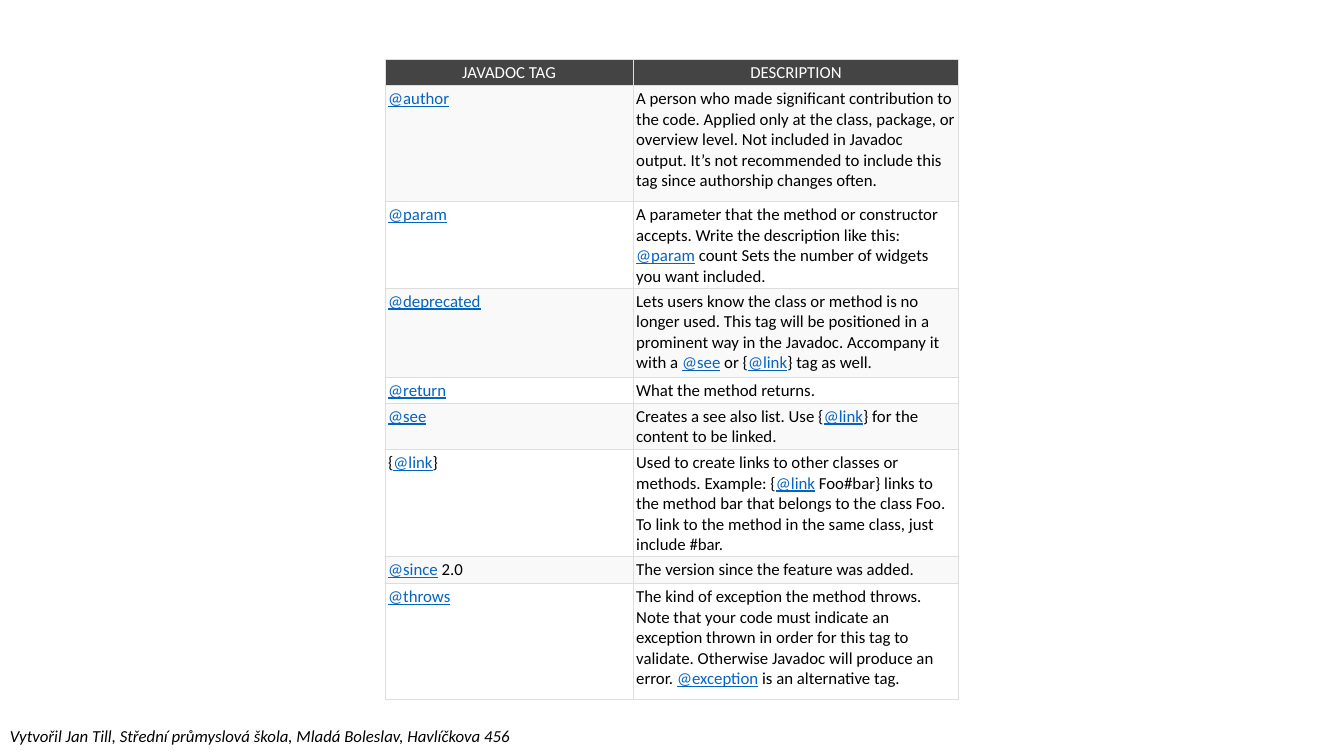
from lxml.etree import SubElement
from pptx import Presentation
from pptx.dml.color import RGBColor
from pptx.enum.text import MSO_ANCHOR as Anchor, PP_ALIGN as Align
from pptx.oxml.ns import qn
from pptx.util import Inches, Pt

FOOTER = "Vytvořil Jan Till, Střední průmyslová škola, Mladá Boleslav, Havlíčkova 456"
HEADER = ("JAVADOC TAG", "DESCRIPTION")
TAGS = [
    ("@author", "A person who made significant contribution to the code. Applied only at the class, "
     "package, or overview level. Not included in Javadoc output. It’s not recommended to include "
     "this tag since authorship changes often."),
    ("@param", "A parameter that the method or constructor accepts. Write the description like "
     "this: |@param| count Sets the number of widgets you want included."),
    ("@deprecated", "Lets users know the class or method is no longer used. This tag will be "
     "positioned in a prominent way in the Javadoc. Accompany it with a |@see| or {|@link|} tag as well."),
    ("@return", "What the method returns."),
    ("@see", "Creates a see also list. Use {|@link|} for the content to be linked."),
    ("{|@link|}", "Used to create links to other classes or methods. Example: {|@link| Foo#bar} links "
     "to the method bar that belongs to the class Foo. To link to the method in the same class, "
     "just include #bar."),
    ("@since| 2.0", "The version since the feature was added."),
    ("@throws", "The kind of exception the method throws. Note that your code must indicate an "
     "exception thrown in order for this tag to validate. Otherwise Javadoc will produce an "
     "error. |@exception| is an alternative tag."),
]
COLUMN_WIDTHS = (2.46, 3.23)
ROW_HEIGHTS = (0.2, 1.15, 0.81, 0.88, 0.2, 0.41, 0.94, 0.27, 1.15)
CELL_MARGIN = Inches(0.03)


def color(value):
    return RGBColor.from_string(value)


def style_font(font, value):
    font.name = "Calibri"
    font.size = Pt(12)
    font.color.rgb = color(value)


def add_border(cell, side, value):
    line = SubElement(cell._tc.get_or_add_tcPr(), qn(f"a:ln{side}"), w=str(Pt(0.75)))
    SubElement(SubElement(line, qn("a:solidFill")), qn("a:srgbClr"), val=value)


def fill_cell(cell, text, row, last_row):
    is_header = row == 0
    cell.margin_left = cell.margin_right = CELL_MARGIN
    cell.margin_top = cell.margin_bottom = CELL_MARGIN
    cell.vertical_anchor = Anchor.BOTTOM if is_header else Anchor.TOP
    top = "DEDEDE" if is_header else "DDDDDD"
    bottom = "DEDEDE" if row == last_row else "DDDDDD"
    for side, value in (("L", "DEDEDE"), ("R", "DEDEDE"), ("T", top), ("B", bottom)):
        add_border(cell, side, value)
    cell.fill.solid()
    cell.fill.fore_color.rgb = color("444444" if is_header else "F9F9F9" if row % 2 else "FFFFFF")

    paragraph = cell.text_frame.paragraphs[0]
    paragraph.alignment = Align.CENTER if is_header else Align.LEFT
    for part in text.split("|"):
        run = paragraph.add_run()
        run.text = part
        is_tag = part.startswith("@")
        style_font(run.font, "FFFFFF" if is_header else "0563C1" if is_tag else "000000")
        if is_tag:
            run.font.underline = True


def add_tag_table(slide):
    rows = [HEADER, *TAGS]
    table = slide.shapes.add_table(
        len(rows), len(HEADER), Inches(3.82), Inches(0.59),
        Inches(sum(COLUMN_WIDTHS)), Inches(sum(ROW_HEIGHTS))).table
    table.first_row = False
    table.horz_banding = False
    for column, width in zip(table.columns, COLUMN_WIDTHS):
        column.width = Inches(width)
    for index, (texts, height) in enumerate(zip(rows, ROW_HEIGHTS)):
        table.rows[index].height = Inches(height)
        for cell, text in zip(table.rows[index].cells, texts):
            fill_cell(cell, text, index, len(rows) - 1)


def add_footer(slide):
    box = slide.shapes.add_textbox(Inches(0), Inches(7.15), Inches(5.21), Inches(0.3))
    box.text_frame.word_wrap = False
    paragraph = box.text_frame.paragraphs[0]
    paragraph.text = FOOTER
    style_font(paragraph.font, "000000")
    paragraph.font.italic = True


def main():
    presentation = Presentation()
    presentation.slide_width = Inches(13.33)
    presentation.slide_height = Inches(7.5)
    slide = presentation.slides.add_slide(presentation.slide_layouts[6])
    add_footer(slide)
    add_tag_table(slide)
    presentation.save("out.pptx")


if __name__ == "__main__":
    main()
